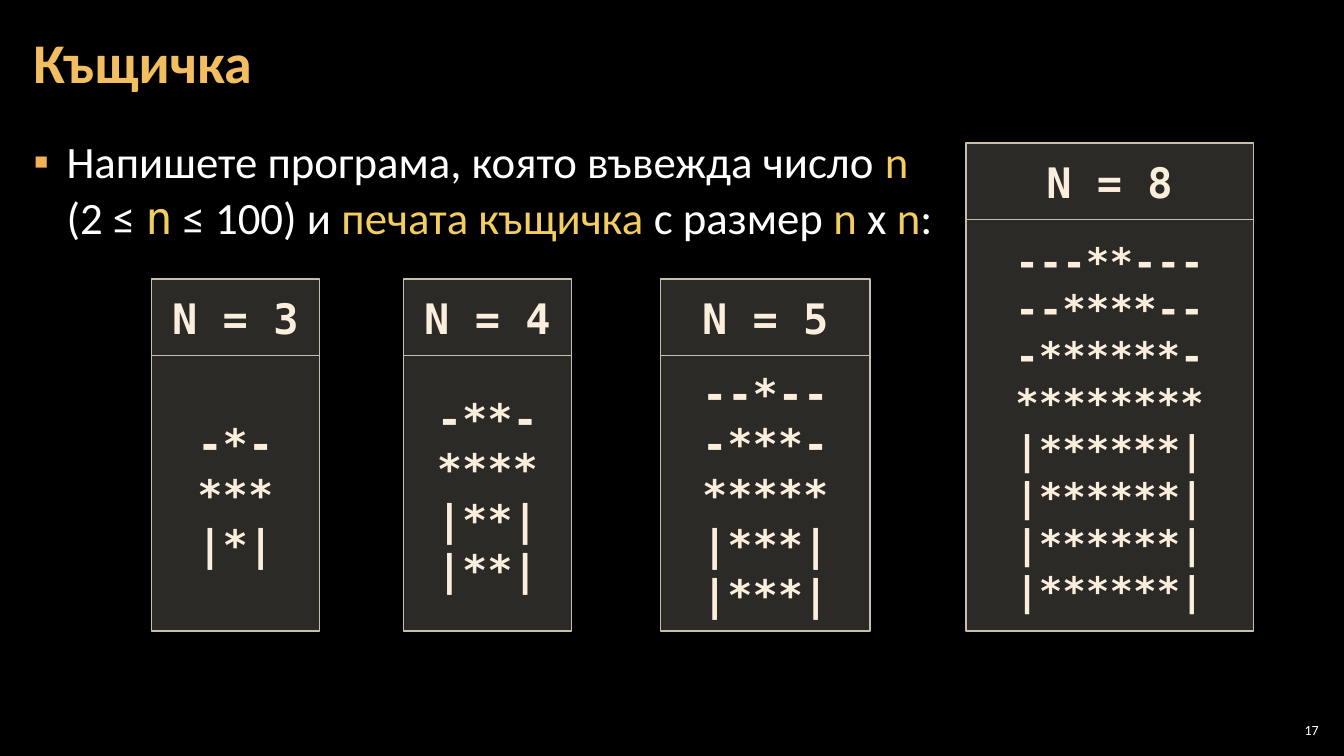
from lxml import etree
from pptx import Presentation
from pptx.dml.color import RGBColor
from pptx.enum.shapes import MSO_SHAPE
from pptx.enum.text import MSO_ANCHOR, MSO_AUTO_SIZE, PP_ALIGN
from pptx.oxml.ns import qn
from pptx.util import Inches, Pt

RECTANGLE = MSO_SHAPE.RECTANGLE
MIDDLE, TOP = MSO_ANCHOR.MIDDLE, MSO_ANCHOR.TOP
LEFT, CENTER, RIGHT = PP_ALIGN.LEFT, PP_ALIGN.CENTER, PP_ALIGN.RIGHT
NO_AUTOFIT = MSO_AUTO_SIZE.NONE

COLORS = {
    "background": "000000", "title": "F3BE60", "text": "FFFFFF",
    "highlight": "F3CD60", "bullet": "F2B254", "panel": "D9D5C7",
    "border": "C7BFAC", "code": "FBEEDC",
}
SANS, MONO = "Calibri", "DejaVu Sans Mono"


def place(shape, left, top, width, height, anchor, margin_x, margin_y=0.04):
    """Position a text shape and set its frame."""
    shape.left, shape.top = Inches(left), Inches(top)
    shape.width, shape.height = Inches(width), Inches(height)
    frame = shape.text_frame
    frame.word_wrap = True
    frame.auto_size = NO_AUTOFIT
    frame.vertical_anchor = anchor
    frame.margin_left = frame.margin_right = Inches(margin_x)
    frame.margin_top = frame.margin_bottom = Inches(margin_y)
    return frame


def style_font(font, name, size, color, bold=False):
    font.name, font.size, font.bold = name, Pt(size), bold
    font.color.rgb = RGBColor.from_string(COLORS[color])


presentation = Presentation()
presentation.slide_width, presentation.slide_height = Inches(13.33), Inches(7.5)
slide = presentation.slides.add_slide(presentation.slide_layouts[1])
slide.background.fill.solid()
slide.background.fill.fore_color.rgb = RGBColor.from_string(COLORS["background"])

# Title
frame = place(slide.shapes.title, 0.21, 0.04, 12.91, 1.21, MIDDLE, 0.12)
paragraph = frame.paragraphs[0]
paragraph.text = "Къщичка"
paragraph.alignment = LEFT
paragraph.line_spacing = 0.9
style_font(paragraph.font, SANS, 40, "title", True)

# Task description
frame = place(slide.placeholders[1], 0.21, 1.26, 9.29, 6.09, TOP, 0.12)
paragraph = frame.paragraphs[0]
properties = paragraph._p.get_or_add_pPr()
properties.set("marL", str(Inches(0.33)))
properties.set("indent", str(-Inches(0.33)))
bullet_color = etree.SubElement(properties, qn("a:buClr"))
etree.SubElement(bullet_color, qn("a:srgbClr"), val=COLORS["bullet"])
etree.SubElement(properties, qn("a:buChar"), char="▪")
paragraph.line_spacing = 1.05
paragraph.space_before = Pt(0)
paragraph.space_after = Pt(6)
task_runs = [
    ("Напишете програма, която въвежда число ", SANS, "text"),
    ("n", SANS, "highlight"),
    (" (2 ≤ ", SANS, "text"),
    ("n", MONO, "highlight"),
    (" ≤ 100) и ", SANS, "text"),
    ("печата къщичка ", SANS, "highlight"),
    ("с размер ", SANS, "text"),
    ("n", SANS, "highlight"),
    (" x ", SANS, "text"),
    ("n", SANS, "highlight"),
    (":", SANS, "text"),
]
for text, font_name, color in task_runs:
    run = paragraph.add_run()
    run.text = text
    style_font(run.font, font_name, 32, color)

# Example houses: size, left, top, width, font size of the drawing
HEADER_HEIGHT, HOUSES_BOTTOM = 0.76, 6.26
houses = [
    (3, 1.5, 2.77, 1.67, 30),
    (4, 4, 2.77, 1.67, 30),
    (5, 6.55, 2.77, 2.08, 30),
    (8, 9.58, 1.42, 2.85, 28),
]
for size, left, top, width, drawing_size in houses:
    first_stars = 2 - size % 2
    roof = [("*" * stars).center(size, "-")
            for stars in range(first_stars, size + 1, 2)]
    walls = ["|" + "*" * (size - 2) + "|"] * (size // 2)
    drawing_top = top + HEADER_HEIGHT
    panels = [
        (drawing_top, HOUSES_BOTTOM - drawing_top, roof + walls, drawing_size),
        (top, HEADER_HEIGHT, [f"N = {size}"], 30),
    ]
    for panel_top, height, lines, font_size in panels:
        panel = slide.shapes.add_shape(RECTANGLE, 0, 0, 0, 0)
        frame = place(panel, left, panel_top, width, height, MIDDLE, 0.1, 0.05)
        panel.shadow.inherit = False
        panel.fill.solid()
        panel.fill.fore_color.rgb = RGBColor.from_string(COLORS["panel"])
        fill_color = panel._element.spPr.find(qn("a:solidFill"))[0]
        etree.SubElement(fill_color, qn("a:alpha"), val="20000")
        panel.line.color.rgb = RGBColor.from_string(COLORS["border"])
        panel.line.width = Pt(1)
        frame.text = "\n".join(lines)
        for paragraph in frame.paragraphs:
            paragraph.alignment = CENTER
            style_font(paragraph.font, MONO, font_size, "code", True)

# Slide number
number_box = slide.shapes.add_textbox(0, 0, 0, 0)
frame = place(number_box, 12.65, 7.14, 0.47, 0.21, MIDDLE, 0.04)
paragraph = frame.paragraphs[0]
paragraph.text = "17"
paragraph.alignment = RIGHT
style_font(paragraph.font, SANS, 10, "text")

presentation.save("out.pptx")
